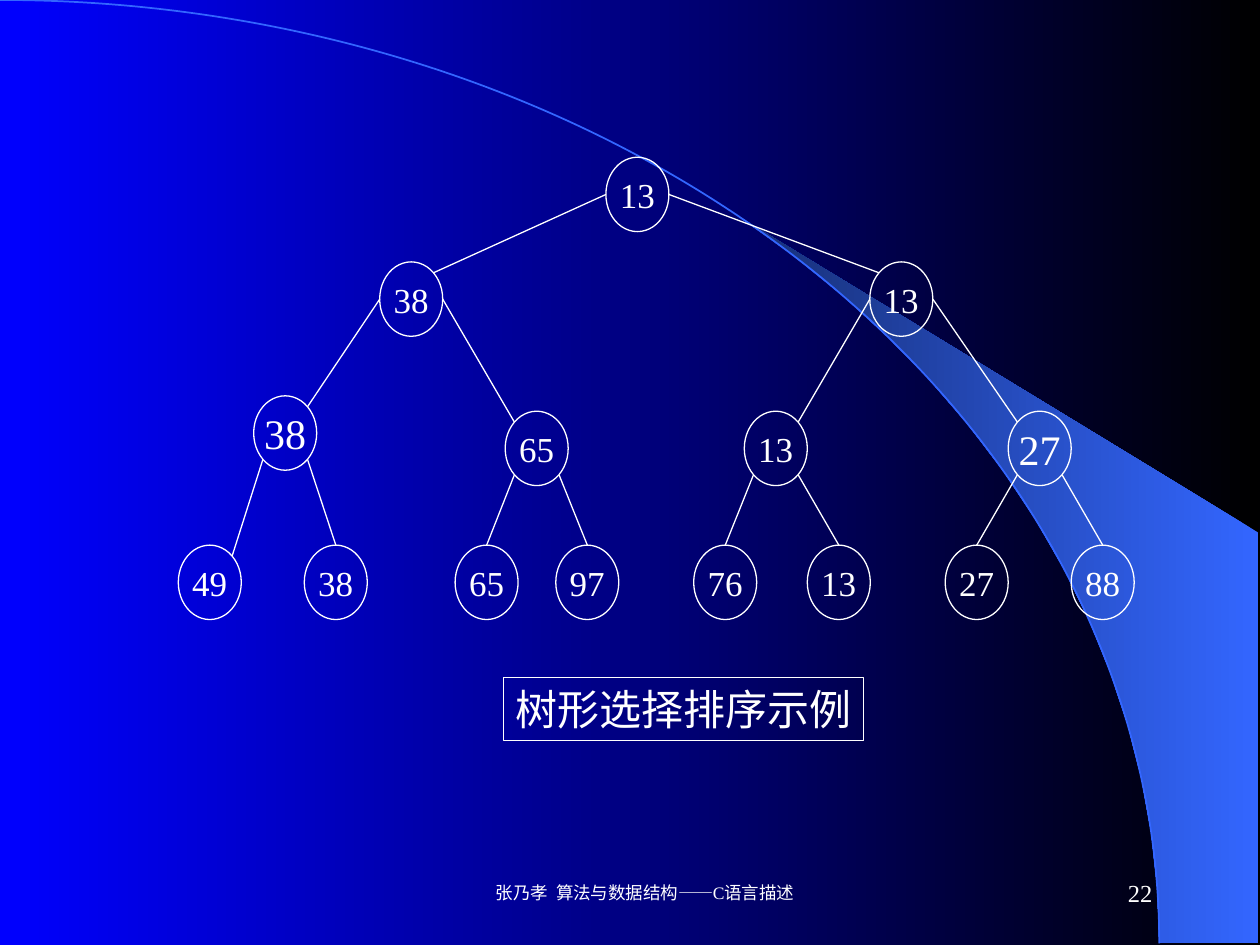
from math import asin, cos, pi, sin, sqrt

from lxml.etree import SubElement
from pptx import Presentation
from pptx.dml.color import RGBColor
from pptx.enum.shapes import MSO_CONNECTOR, MSO_SHAPE
from pptx.enum.text import MSO_ANCHOR, PP_ALIGN
from pptx.oxml.ns import qn
from pptx.util import Cm, Pt

WHITE = RGBColor(0xFF, 0xFF, 0xFF)
BLACK = RGBColor(0x00, 0x00, 0x00)
BLUE = RGBColor(0x00, 0x00, 0xFF)
SKY = RGBColor(0x33, 0x66, 0xFF)
NAVY = RGBColor(0x17, 0x2F, 0x75)
FONT = "Times New Roman"

# Tree in heap order: value, centre x, top (cm), font size
NODES = [
    ("13", 12.85, 3.17, 20),
    ("38", 8.29, 5.28, 20), ("13", 18.17, 5.28, 20),
    ("38", 5.75, 7.98, 24), ("65", 10.82, 8.29, 20),
    ("13", 15.64, 8.29, 20), ("27", 20.96, 8.29, 24),
    ("49", 4.23, 10.99, 20), ("38", 6.77, 10.99, 20),
    ("65", 9.81, 10.99, 20), ("97", 11.84, 10.99, 20),
    ("76", 14.62, 10.99, 20), ("13", 16.91, 10.99, 20),
    ("27", 19.69, 10.99, 20), ("88", 22.23, 10.99, 20),
]
NODE_W, NODE_H = 1.27, 1.5
FIRST_LEAF = 7
CORNER_LEAF = 7  # its edge arrives at the upper corner, not the top

# Text, left, top, width, height (cm), font size
CAPTION = ("树形选择排序示例", 10.15, 13.66, 7.26, 1.27, 24)

# Text, left, top, width, height, left inset (cm), font size, alignment
NOTES = [
    ("张乃孝  算法与数据结构——C语言描述", 8.68, 17.36, 8.05, 1.27, 0.85, 10, PP_ALIGN.CENTER),
    ("22", 18.2, 17.36, 5.28, 1.27, 0.25, 14, PP_ALIGN.RIGHT),
]

# Backdrop (cm): radii of the arc and corners of the wedge beside it
ARC_W, ARC_H = 23.37, 19.02
WEDGE_LEFT, WEDGE_RIGHT, WEDGE_TOP = 14.96, 25.37, 10.74
WEDGE_STEPS = 15


def set_gradient(fill, first, last):
    fill.gradient()
    fill.gradient_angle = 180
    for stop, color in zip(fill.gradient_stops, (first, last)):
        stop.color.rgb = color


def set_line(line, color, width):
    line.color.rgb = color
    line.width = Pt(width)


def set_text(shape, text, size, align, wrap):
    frame = shape.text_frame
    frame.word_wrap = wrap
    frame.vertical_anchor = MSO_ANCHOR.MIDDLE
    para = frame.paragraphs[0]
    para.alignment = align
    span = para.add_run()
    span.text = text
    span.font.name = FONT
    span.font.size = Pt(size)
    span.font.color.rgb = WHITE


def add_outlined(group, kind, left, top, width, height, color, weight):
    shape = group.shapes.add_shape(kind, Cm(left), Cm(top), Cm(width), Cm(height))
    shape.shadow.inherit = False
    shape.fill.background()
    set_line(shape.line, color, weight)
    return shape


def add_label(group, kind, left, top, width, height, text, size):
    shape = add_outlined(group, kind, left, top, width, height, WHITE, 0.75)
    set_text(shape, text, size, PP_ALIGN.CENTER, False)


def add_wedge(group):
    start = asin(WEDGE_LEFT / ARC_W)
    turn = (pi / 2 - start) / WEDGE_STEPS
    angles = [start + turn * step for step in range(WEDGE_STEPS + 1)]
    points = [(Cm(ARC_W * sin(angle)), Cm(ARC_H * (1 - cos(angle)))) for angle in angles]
    points += [(Cm(WEDGE_RIGHT), Cm(ARC_H)), (Cm(WEDGE_RIGHT), Cm(WEDGE_TOP))]
    builder = group.shapes.build_freeform(*points[0])
    builder.add_line_segments(points[1:], close=True)
    wedge = builder.convert_to_shape()
    wedge.shadow.inherit = False
    set_gradient(wedge.fill, SKY, NAVY)
    wedge.line.fill.background()


def node_point(index, across, down):
    """Point on a node's rim in the direction (across, down)."""
    _, center, top, _ = NODES[index]
    reach = 0.5 / sqrt(across ** 2 + down ** 2)
    return Cm(center + NODE_W * across * reach), Cm(top + NODE_H * (0.5 + down * reach))


def add_edge(group, child):
    parent = (child - 1) // 2
    side = -1 if child % 2 else 1
    if child < FIRST_LEAF:
        start, end = node_point(parent, side, 0), node_point(child, -side, -1)
    else:
        start = node_point(parent, side, 1)
        end = node_point(child, -side if child == CORNER_LEAF else 0, -1)
    edge = group.shapes.add_connector(MSO_CONNECTOR.STRAIGHT, *start, *end)
    set_line(edge.line, WHITE, 0.75)
    SubElement(edge._element.spPr, qn("a:effectLst"))


def add_note(page, text, left, top, width, height, inset, size, align):
    box = page.shapes.add_textbox(Cm(left), Cm(top), Cm(width), Cm(height))
    set_text(box, text, size, align, True)
    box.text_frame.margin_left = Cm(inset)


def main():
    deck = Presentation()
    deck.slide_width, deck.slide_height = Cm(25.4), Cm(19.05)
    page = deck.slides.add_slide(deck.slide_layouts[6])

    # Backdrop: gradient, bright wedge, quarter arc
    set_gradient(page.background.fill, BLACK, BLUE)
    backdrop = page.shapes.add_group_shape()
    add_wedge(backdrop)
    add_outlined(backdrop, MSO_SHAPE.ARC, -ARC_W, 0, 2 * ARC_W, 2 * ARC_H, SKY, 1)

    # Tree with its caption
    tree = page.shapes.add_group_shape()
    for value, center, top, size in NODES:
        add_label(tree, MSO_SHAPE.OVAL, center - NODE_W / 2, top, NODE_W, NODE_H, value, size)
    for child in range(1, len(NODES)):
        add_edge(tree, child)
    text, left, top, width, height, size = CAPTION
    add_label(tree, MSO_SHAPE.RECTANGLE, left, top, width, height, text, size)

    # Footer and page number
    for note in NOTES:
        add_note(page, *note)

    deck.save("out.pptx")


if __name__ == "__main__":
    main()
